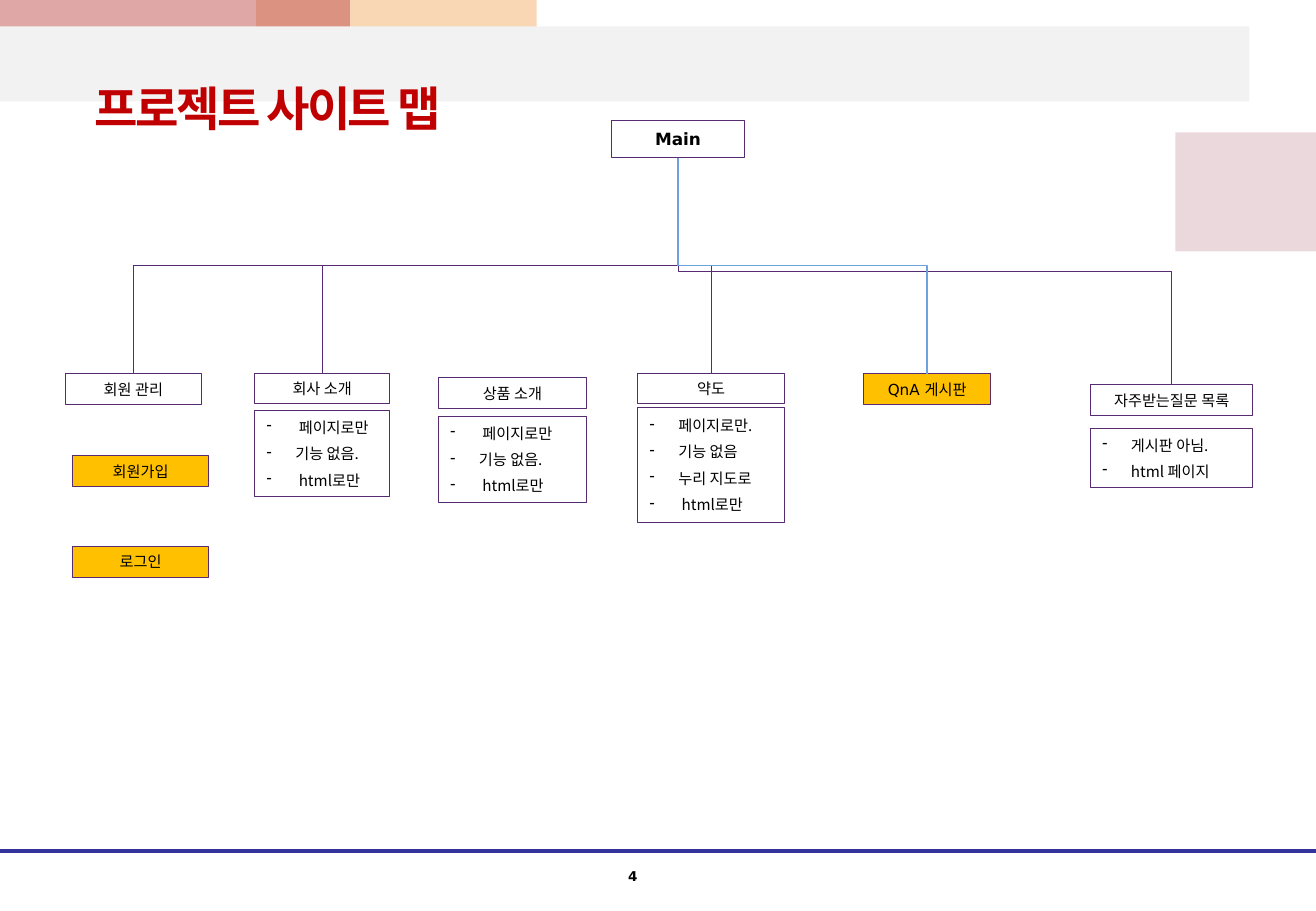
from lxml import etree
from pptx import Presentation
from pptx import util as u
from pptx.dml.color import RGBColor
from pptx.enum import shapes, text
from pptx.oxml import ns

SANS = "DejaVu Sans"
KOREAN = "Noto Sans CJK KR"
PLUM, GOLD, BLUE, BLACK = "562B71", "FFC000", "6BA2DF", "000000"

MENUS = [
    ("회원 관리", 1.37, 7.82, 2.84, None, PLUM),
    ("회사 소개", 5.33, 7.8, 2.82, None, PLUM),
    ("상품 소개", 9.17, 7.9, 3.1, None, None),
    ("약도", 13.34, 7.8, 3.07, None, PLUM),
    ("자주받는질문 목록", 22.81, 8.05, 3.4, None, PLUM),
    ("QnA 게시판", 18.06, 7.82, 2.67, GOLD, BLUE),
    ("회원가입", 1.52, 9.53, 2.84, GOLD, None),
    ("로그인", 1.52, 11.43, 2.84, GOLD, None),
]
NOTES = [
    (5.33, 8.59, 2.82, 1.8, [" 페이지로만", "기능 없음.", " html로만"]),
    (9.17, 8.71, 3.1, 1.8, [" 페이지로만", "기능 없음.", " html로만"]),
    (13.34, 8.53, 3.07, 2.39,
     ["페이지로만.", "기능 없음", "누리 지도로", " html로만"]),
    (22.81, 8.97, 3.4, 1.22, ["게시판 아님.", "html 페이지"]),
]


def color(code):
    return RGBColor.from_string(code)


def child(parent, tag, **attrs):
    return etree.SubElement(parent, ns.qn(tag), attrs)


def add_run(para, words, size, font=SANS, tint=BLACK, bold=False):
    run = para.add_run()
    run.text = words
    run.font.size = u.Pt(size)
    run.font.name = font
    run.font.bold = bold
    run.font.color.rgb = color(tint)
    child(run.font._element, "a:ea", typeface=KOREAN)
    return run


def add_rect(slide, place, fill=None, line=None, alpha=100):
    rect = slide.shapes.add_shape(
        shapes.MSO_SHAPE.RECTANGLE, *map(u.Cm, place))
    rect.shadow.inherit = False
    if fill:
        rect.fill.solid()
        rect.fill.fore_color.rgb = color(fill)
        if alpha < 100:
            tone = rect._element.spPr.find(".//" + ns.qn("a:srgbClr"))
            child(tone, "a:alpha", val=str(alpha * 1000))
    else:
        rect.fill.background()
    if line:
        rect.line.color.rgb = color(line)
        rect.line.width = u.Pt(0.5)
    else:
        rect.line.fill.background()
    return rect


def add_box(slide, words, place, fill=None, size=9, bold=False):
    box = add_rect(slide, place, fill, PLUM)
    para = box.text_frame.paragraphs[0]
    para.alignment = text.PP_ALIGN.CENTER
    add_run(para, words, size, bold=bold)
    return box


def add_note(slide, place, items):
    frame = add_rect(slide, place, None, PLUM).text_frame
    for n, item in enumerate(items):
        para = frame.add_paragraph() if n else frame.paragraphs[0]
        para.alignment = text.PP_ALIGN.LEFT
        para.space_before = u.Pt(4.8 if n else 0)
        props = para._p.get_or_add_pPr()
        props.set("marL", str(u.Cm(0.6)))
        props.set("indent", str(u.Cm(-0.6)))
        child(child(props, "a:buClr"), "a:srgbClr", val=BLACK)
        child(props, "a:buChar", char="-")
        add_run(para, item, 9, KOREAN)


def add_label(slide, place):
    frame = slide.shapes.add_textbox(*map(u.Cm, place)).text_frame
    frame.word_wrap = True
    frame.vertical_anchor = text.MSO_ANCHOR.MIDDLE
    return frame.paragraphs[0]


def add_line(slide, kind, ends, tint, width):
    line = slide.shapes.add_connector(kind, *ends)
    line.line.color.rgb = color(tint)
    line.line.width = u.Pt(width)
    child(line._element.spPr, "a:effectLst")
    return line


def add_branch(slide, main, menu, tint):
    x1, y1 = main.left + main.width // 2, main.top + main.height
    x2, y2 = menu.left + menu.width // 2, menu.top
    width = 0.75 if tint == BLUE else 0.5
    line = add_line(slide, shapes.MSO_CONNECTOR.ELBOW,
                    (x1, y1, x2, y2), tint, width)
    line.begin_connect(main, 2)
    line.end_connect(menu, 0)
    line.width, line.height = y2 - y1, abs(x2 - x1)
    line.left = (x1 + x2 - line.width) // 2
    line.top = (y1 + y2 - line.height) // 2
    right = x2 > x1
    frame = line._element.spPr.xfrm
    frame.set("rot", str((270 if right else 90) * 60000))
    frame.set("flipH", "1" if right else "0")


def add_decor(slide):
    add_rect(slide, (5.36, 0, 5.87, 1.5), "F5BC83", alpha=60)
    add_rect(slide, (0, 0, 7.32, 1.5), "C0504D", alpha=50)
    add_rect(slide, (24.59, 2.77, 2.95, 2.49), "CC9EAC", alpha=40)
    ends = map(u.Cm, (0, 17.8, 27.53, 17.8))
    add_line(slide, shapes.MSO_CONNECTOR.STRAIGHT, ends, "333399", 2.5)
    add_rect(slide, (0, 0.55, 26.14, 1.57), "F2F2F2")
    page = add_label(slide, (12.07, 17.97, 2.34, 0.71))
    page.alignment = text.PP_ALIGN.CENTER
    add_run(page, "4", 8, bold=True)


def main():
    deck = Presentation()
    deck.slide_width, deck.slide_height = u.Cm(27.53), u.Cm(19.05)
    slide = deck.slides.add_slide(deck.slide_layouts[6])
    add_decor(slide)
    title = add_label(slide, (1.73, 1.52, 16.43, 1.45))
    run = add_run(title, "프로젝트 사이트 맵", 28, "Arial", "C00000", True)
    run.font._element.set("spc", "-150")
    top = add_box(slide, "Main", (12.8, 2.51, 2.77, 0.79), size=10, bold=True)
    for words, left, y, width, fill, tint in MENUS:
        menu = add_box(slide, words, (left, y, width, 0.64), fill)
        if tint:
            add_branch(slide, top, menu, tint)
    for *place, items in NOTES:
        add_note(slide, place, items)
    deck.save("out.pptx")


if __name__ == "__main__":
    main()
